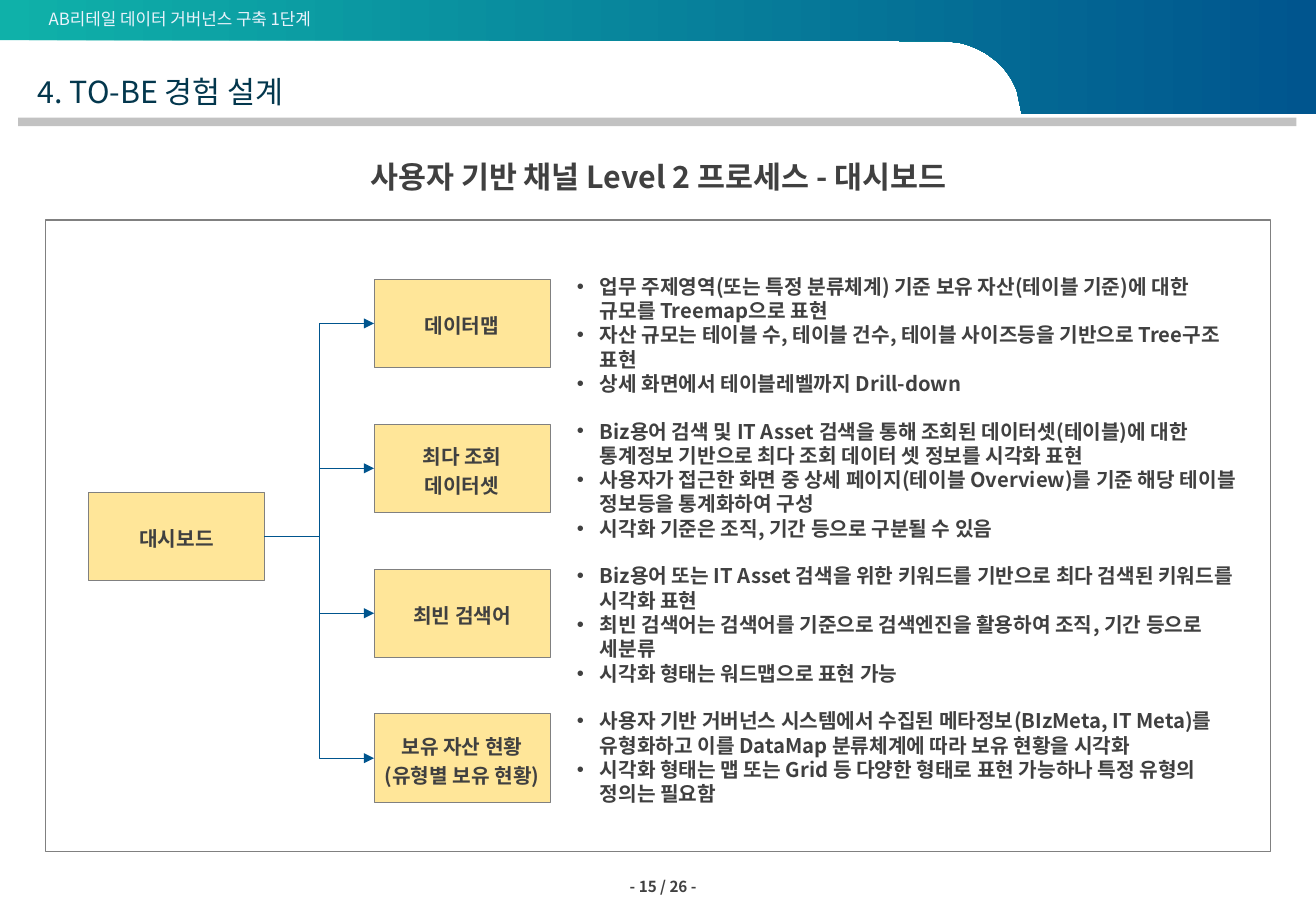
"""Build the dashboard process slide."""
import lxml.etree
import pptx
import pptx.dml.color
import pptx.enum.dml
import pptx.enum.shapes
import pptx.enum.text
import pptx.oxml.ns
import pptx.util

Cm = pptx.util.Cm
Pt = pptx.util.Pt
ALIGN = pptx.enum.text.PP_ALIGN
ANCHOR = pptx.enum.text.MSO_ANCHOR
FONT = "Noto Sans CJK KR"
GREY = "404040"
BOX_WIDTH, BOX_HEIGHT = 3.68, 1.85
FIRST_TOP, ROW_PITCH = 5.84, 3.03

CHANNELS = [
    ("데이터맵", [
        "업무 주제영역(또는 특정 분류체계) 기준 보유 자산(테이블 기준)에 대한 규모를 Treemap으로 표현",
        "자산 규모는 테이블 수, 테이블 건수, 테이블 사이즈등을 기반으로 Tree구조 표현",
        "상세 화면에서 테이블레벨까지 Drill-down",
    ]),
    ("최다 조회 데이터셋", [
        "Biz용어 검색 및 IT Asset 검색을 통해 조회된 데이터셋(테이블)에 대한 통계정보 기반으로 최다 조회 데이터 셋 정보를 시각화 표현",
        "사용자가 접근한 화면 중 상세 페이지(테이블 Overview)를 기준 해당 테이블 정보등을 통계화하여 구성",
        "시각화 기준은 조직, 기간 등으로 구분될 수 있음",
    ]),
    ("최빈 검색어", [
        "Biz용어 또는 IT Asset 검색을 위한 키워드를 기반으로 최다 검색된 키워드를 시각화 표현",
        "최빈 검색어는 검색어를 기준으로 검색엔진을 활용하여 조직, 기간 등으로 세분류",
        "시각화 형태는 워드맵으로 표현 가능",
    ]),
    ("보유 자산 현황\n(유형별 보유 현황)", [
        "사용자 기반 거버넌스 시스템에서 수집된 메타정보(BIzMeta, IT Meta)를 유형화하고 이를 DataMap 분류체계에 따라 보유 현황을 시각화",
        "시각화 형태는 맵 또는 Grid 등 다양한 형태로 표현 가능하나 특정 유형의 정의는 필요함",
    ]),
]


def color(value):
    """Return the colour for a hex string."""
    return pptx.dml.color.RGBColor.from_string(value)


def add_element(parent, tag, **attributes):
    """Append a drawing element to its parent."""
    return lxml.etree.SubElement(parent, pptx.oxml.ns.qn(tag), **attributes)


def add_bullet(paragraph):
    """Give a paragraph a bullet and a hanging indent."""
    properties = paragraph._p.get_or_add_pPr()
    properties.set("marL", str(Cm(0.48)))
    properties.set("indent", str(-Cm(0.48)))
    add_element(properties, "a:buFont", typeface="Arial")
    add_element(properties, "a:buChar", char="•")


def write_text(shape, *texts, size=12, ink=GREY, bold=True, align=ALIGN.LEFT,
               anchor=ANCHOR.MIDDLE, inset=0.2, wrap=True, bullet=False,
               spacing=None, before=None):
    """Write one formatted paragraph for each text."""
    frame = shape.text_frame
    frame.word_wrap = wrap
    frame.vertical_anchor = anchor
    frame.margin_left = frame.margin_right = Cm(inset)
    frame.margin_top = frame.margin_bottom = Cm(inset / 2)
    for index, text in enumerate(texts):
        paragraph = frame.add_paragraph() if index else frame.paragraphs[0]
        paragraph.text = text
        paragraph.alignment = align
        paragraph.line_spacing = spacing
        paragraph.space_before = before
        if bullet:
            add_bullet(paragraph)
        for run in paragraph.runs:
            run.font.name = FONT
            run.font.size = Pt(size)
            run.font.bold = bold
            run.font.color.rgb = color(ink)
            add_element(run._r.get_or_add_rPr(), "a:ea", typeface=FONT)


def add_text(slide, left, top, width, height, *texts, **text_format):
    """Add a text box."""
    shape = slide.shapes.add_textbox(Cm(left), Cm(top), Cm(width), Cm(height))
    write_text(shape, *texts, **text_format)


def add_rectangle(slide, left, top, width, height, fill=None, line=None, weight=0.5):
    """Add a rectangle with an optional fill and outline."""
    shape = slide.shapes.add_shape(
        pptx.enum.shapes.MSO_SHAPE.RECTANGLE, Cm(left), Cm(top), Cm(width), Cm(height))
    shape.shadow.inherit = False
    if fill:
        shape.fill.solid()
        shape.fill.fore_color.rgb = color(fill)
    else:
        shape.fill.background()
    if line:
        shape.line.color.rgb = color(line)
        shape.line.width = Pt(weight)
    else:
        shape.line.fill.background()
    return shape


def add_process_box(slide, left, top, text):
    """Add a yellow process box."""
    shape = add_rectangle(slide, left, top, BOX_WIDTH, BOX_HEIGHT, "FFE699", "808080")
    write_text(shape, text, align=ALIGN.CENTER, spacing=1.2, before=Pt(3))
    return shape


def add_arrow(slide, source, target):
    """Add an elbow arrow from the right of one box to the left of another."""
    arrow = slide.shapes.add_connector(
        pptx.enum.shapes.MSO_CONNECTOR.ELBOW, source.left + source.width,
        source.top + source.height // 2, target.left, target.top + target.height // 2)
    arrow.begin_connect(source, 3)
    arrow.end_connect(target, 1)
    arrow.line.color.rgb = color("00558E")
    arrow.line.width = Pt(0.5)
    add_element(arrow.line._get_or_add_ln(), "a:tailEnd", type="triangle")
    add_element(arrow._element.spPr, "a:effectLst")


def curve_points(start, first, second, end, steps=24):
    """Return points along a cubic curve."""
    points = []
    for step in range(steps + 1):
        t = step / steps
        weights = ((1 - t) ** 3, 3 * t * (1 - t) ** 2, 3 * t * t * (1 - t), t ** 3)
        points.append(tuple(
            sum(weight * value for weight, value in zip(weights, values))
            for values in zip(start, first, second, end)))
    return points


def add_banner(slide):
    """Add the gradient banner with its curved lower edge."""
    curve = curve_points((21.26, 1.91), (21.08, 1.4), (20.62, 1.02), (20.04, 0.89))
    outline = [(27.51, 0), (27.51, 2.39), (21.36, 2.39), *curve,
               (19.71, 0.86), (8.79, 0.84), (0, 0.84)]
    builder = slide.shapes.build_freeform(0, 0)
    builder.add_line_segments([(Cm(x), Cm(y)) for x, y in outline], close=True)
    banner = builder.convert_to_shape()
    banner.shadow.inherit = False
    banner.line.fill.background()
    banner.fill.gradient()
    banner.fill.gradient_angle = 0
    for stop, value in zip(banner.fill.gradient_stops, ("0FB1A9", "00558E")):
        stop.color.rgb = color(value)


def add_frame(slide):
    """Add the header, titles, content border and page number."""
    add_banner(slide)
    add_text(slide, 1.02, 0.18, 8.18, 0.43, "AB리테일 데이터 거버넌스 구축 1단계",
             size=10, ink="EAF3FC", bold=False, inset=0)
    add_text(slide, 12.7, 18.24, 2.06, 0.58, "- 15 / 26 -",
             size=9, align=ALIGN.RIGHT, wrap=False)
    add_rectangle(slide, 0.38, 2.46, 26.72, 0.18, "C2C2C2")
    add_text(slide, 0.79, 1.52, 19.66, 0.76, "4. TO-BE 경험 설계",
             size=18, ink="03374D", bold=False, anchor=ANCHOR.TOP, inset=0)
    add_rectangle(slide, 0.96, 4.6, 25.6, 13.21, line="808080", weight=0.75)
    add_text(slide, 0.96, 3.2, 25.6, 0.97, "사용자 기반 채널 Level 2 프로세스 - 대시보드",
             size=18, align=ALIGN.CENTER)


def main():
    """Build and save the slide."""
    presentation = pptx.Presentation()
    presentation.slide_width, presentation.slide_height = Cm(27.51), Cm(19.05)
    slide = presentation.slides.add_slide(presentation.slide_layouts[6])
    add_frame(slide)
    dashboard = add_process_box(slide, 1.85, 10.29, "대시보드")
    for row, (name, details) in enumerate(CHANNELS):
        top = FIRST_TOP + row * ROW_PITCH
        channel = add_process_box(slide, 7.82, top, name)
        add_text(slide, 11.86, top - 0.21, 14.35, 2.26, *details,
                 anchor=ANCHOR.TOP, bullet=True)
        add_arrow(slide, dashboard, channel)
    presentation.save("out.pptx")


if __name__ == "__main__":
    main()
